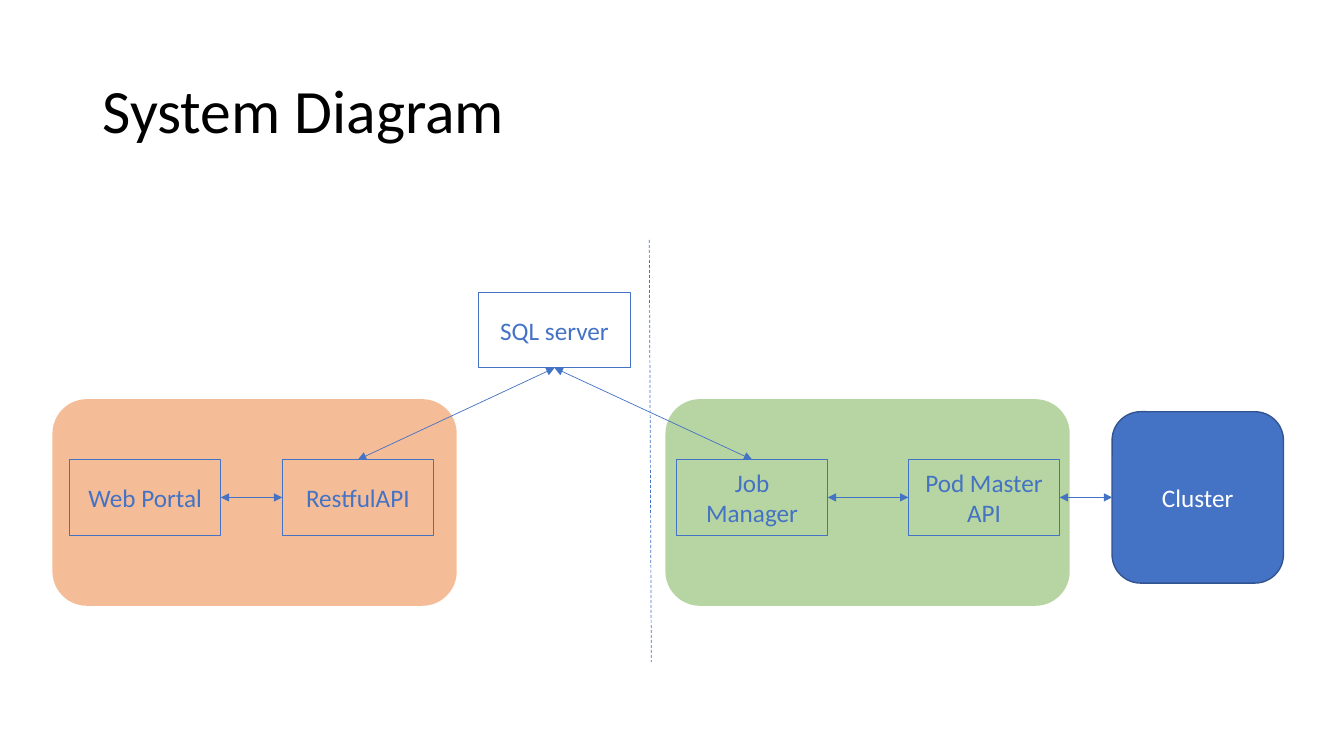
from lxml.etree import SubElement
from pptx import Presentation
from pptx.dml.color import RGBColor
from pptx.enum.dml import MSO_LINE
from pptx.enum.shapes import MSO_CONNECTOR, MSO_SHAPE
from pptx.enum.text import MSO_ANCHOR, PP_ALIGN
from pptx.oxml.ns import qn
from pptx.util import Inches, Pt

BLUE = RGBColor(0x44, 0x72, 0xC4)
DARK_BLUE = RGBColor(0x32, 0x54, 0x91)
GREEN = RGBColor(0x70, 0xAD, 0x47)
ORANGE = RGBColor(0xED, 0x7D, 0x31)
WHITE = RGBColor(0xFF, 0xFF, 0xFF)
BLACK = RGBColor(0, 0, 0)

TITLE = "System Diagram"
GROUPS = [(6.6, GREEN), (0.52, ORANGE)]
GROUP_TOP, GROUP_WIDTH, GROUP_HEIGHT = 3.96, 4.01, 2.05
BOX_WIDTH, BOX_HEIGHT = 1.5, 0.75
ROW_TOP = 4.56
BOXES = [
    ("Web Portal", 0.69, ROW_TOP),
    ("RestfulAPI", 2.8, ROW_TOP),
    ("SQL server", 4.75, 2.9),
    ("Job Manager", 6.71, ROW_TOP),
    ("Pod Master API", 9.01, ROW_TOP),
]
CLUSTER = "Cluster"
CLUSTER_LEFT, CLUSTER_SIZE = 11.03, 1.7
CLUSTER_TOP = ROW_TOP + (BOX_HEIGHT - CLUSTER_SIZE) / 2
TOP, LEFT, BOTTOM, RIGHT = range(4)
LINKS = [
    ("Web Portal", RIGHT, "RestfulAPI", LEFT),
    ("RestfulAPI", TOP, "SQL server", BOTTOM),
    ("SQL server", BOTTOM, "Job Manager", TOP),
    ("Job Manager", RIGHT, "Pod Master API", LEFT),
    ("Pod Master API", RIGHT, CLUSTER, LEFT),
]
DIVIDER = (6.44, 2.38, 6.46, 6.57)


def write(shape, text, size, color, alignment):
    frame = shape.text_frame
    frame.word_wrap = True
    frame.vertical_anchor = MSO_ANCHOR.MIDDLE
    paragraph = frame.paragraphs[0]
    paragraph.alignment = alignment
    run = paragraph.add_run()
    run.text = text
    run.font.name = "Calibri"
    run.font.size = Pt(size)
    run.font.color.rgb = color
    return paragraph


def add_block(slide, kind, bounds, fill=None, line=None, line_width=0.75):
    shape = slide.shapes.add_shape(kind, *map(Inches, bounds))
    shape.shadow.inherit = False
    if fill is None:
        shape.fill.background()
    else:
        shape.fill.solid()
        shape.fill.fore_color.rgb = fill
    if line is None:
        shape.line.fill.background()
    else:
        shape.line.color.rgb = line
        shape.line.width = Pt(line_width)
    return shape


def add_line(slide, points):
    connector = slide.shapes.add_connector(MSO_CONNECTOR.STRAIGHT, *map(Inches, points))
    connector.line.color.rgb = BLUE
    connector.line.width = Pt(0.5)
    SubElement(connector._element.spPr, qn("a:effectLst"))
    return connector


def add_link(slide, start, start_side, end, end_side):
    connector = add_line(slide, (0, 0, 0, 0))
    connector.begin_connect(start, start_side)
    connector.end_connect(end, end_side)
    outline = connector.line._get_or_add_ln()
    for tag in ("a:headEnd", "a:tailEnd"):
        SubElement(outline, qn(tag), type="triangle")


def main():
    presentation = Presentation()
    presentation.slide_width = Inches(13.33)
    presentation.slide_height = Inches(7.5)
    slide = presentation.slides.add_slide(presentation.slide_layouts[6])

    for left, color in GROUPS:
        bounds = (left, GROUP_TOP, GROUP_WIDTH, GROUP_HEIGHT)
        group = add_block(slide, MSO_SHAPE.ROUNDED_RECTANGLE, bounds, color)
        fill_color = group._element.spPr.find(qn("a:solidFill"))[0]
        SubElement(fill_color, qn("a:alpha"), val="50000")

    title = slide.shapes.add_textbox(*map(Inches, (0.92, 0.4, 11.5, 1.45)))
    write(title, TITLE, 44, BLACK, PP_ALIGN.LEFT).line_spacing = 0.9

    nodes = {}
    for name, left, top in BOXES:
        bounds = (left, top, BOX_WIDTH, BOX_HEIGHT)
        nodes[name] = add_block(slide, MSO_SHAPE.RECTANGLE, bounds, line=BLUE)
        write(nodes[name], name, 18, BLUE, PP_ALIGN.CENTER)

    bounds = (CLUSTER_LEFT, CLUSTER_TOP, CLUSTER_SIZE, CLUSTER_SIZE)
    nodes[CLUSTER] = add_block(
        slide, MSO_SHAPE.ROUNDED_RECTANGLE, bounds, BLUE, DARK_BLUE, 1
    )
    write(nodes[CLUSTER], CLUSTER, 18, WHITE, PP_ALIGN.CENTER)

    for start, start_side, end, end_side in LINKS:
        add_link(slide, nodes[start], start_side, nodes[end], end_side)

    add_line(slide, DIVIDER).line.dash_style = MSO_LINE.DASH
    presentation.save("out.pptx")


if __name__ == "__main__":
    main()
